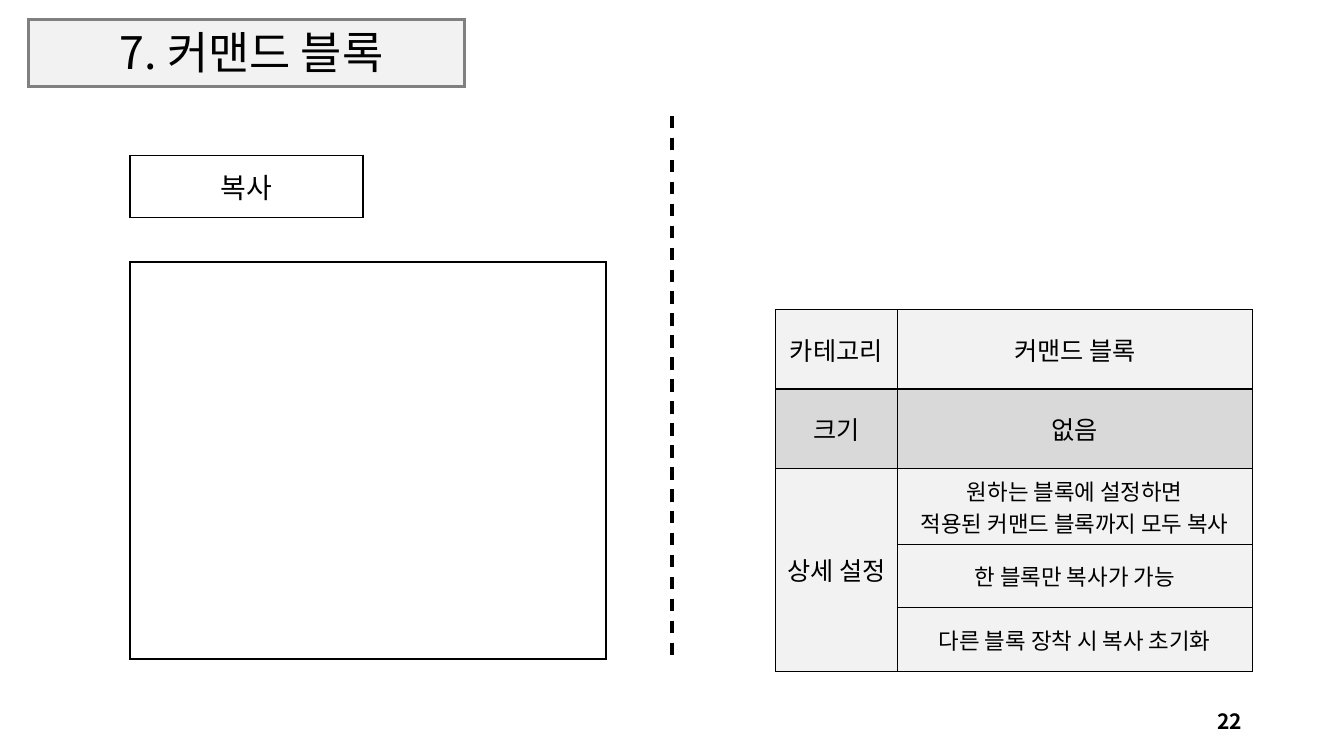
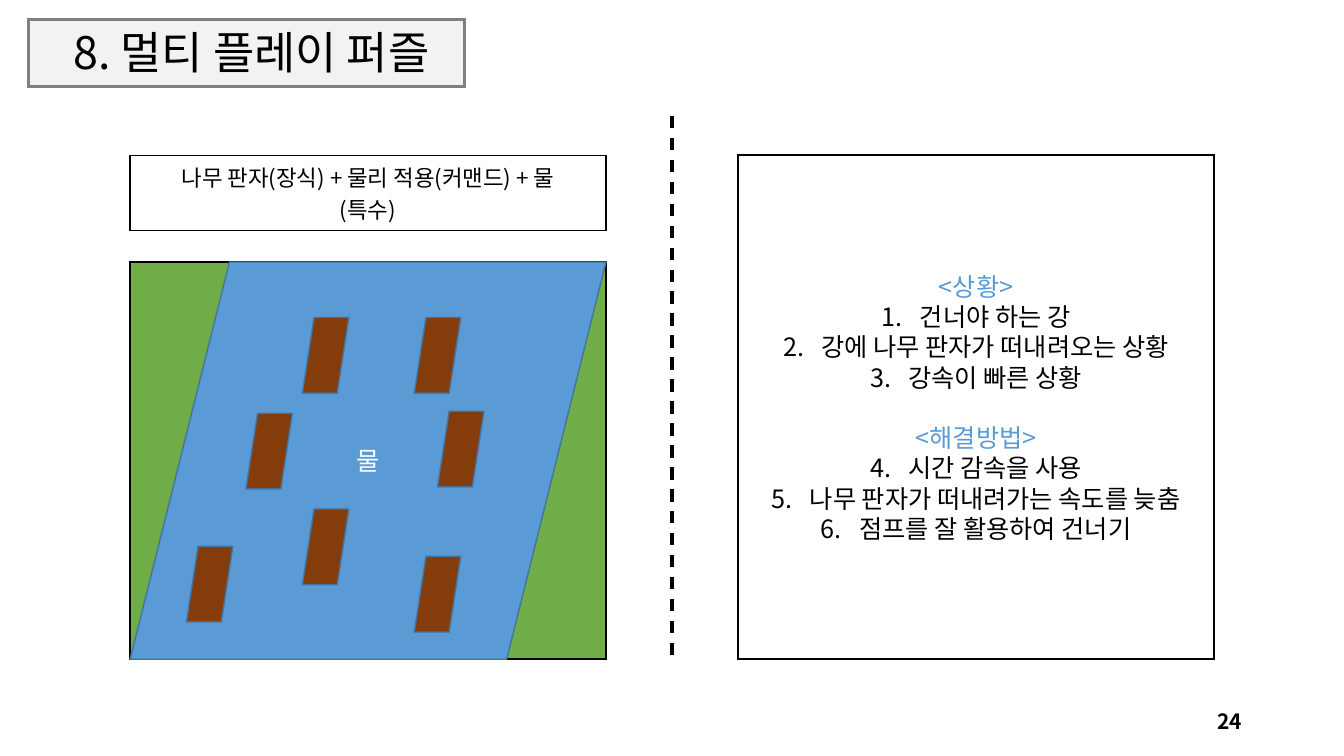
from collections import namedtuple
from dataclasses import dataclass

from lxml import etree
from pptx import Presentation
from pptx import util as u
from pptx.dml.color import RGBColor
from pptx.enum import dml, shapes, text
from pptx.oxml import ns

Box = namedtuple("Box", "x y w h")
MID, BOTTOM = text.MSO_ANCHOR.MIDDLE, text.MSO_ANCHOR.BOTTOM
CENTER, RIGHT = text.PP_ALIGN.CENTER, text.PP_ALIGN.RIGHT
RECT, SLANT = shapes.MSO_SHAPE.RECTANGLE, shapes.MSO_SHAPE.PARALLELOGRAM


@dataclass(frozen=True)
class Theme:
    font: str = "Noto Sans CJK KR"
    ink: str = "000000"
    paper: str = "FFFFFF"
    pale: str = "F2F2F2"
    band: str = "D9D9D9"
    frame: str = "808080"
    water: str = "5B9BD5"
    edge: str = "43739E"
    grass: str = "70AD47"
    wood: str = "843C0B"
    title: float = 32
    label: float = 20
    body: float = 18
    small: float = 16
    number: float = 15
    pitch: float = 21.6


T = Theme()
WIDTH, HEIGHT = 13.33, 7.5
TOP, BASE = 1.54, 6.54          # content band
LEFT, PANEL_W = 1.29, 4.72      # left column
LABEL_H, FACT_H, DETAIL_H = 0.62, 0.79, 0.63
TWO_LINES_H = 0.75              # row holding two small lines
SCENE = Box(LEFT, 2.6, PANEL_W, BASE - 2.6)


def emu(box):
    return [u.Inches(v) for v in box]


def child(parent, tag, **attrs):
    return etree.SubElement(parent, ns.qn(tag), attrs)


def write(p, words, size=T.body, color=T.ink, bold=False, align=CENTER,
          spacing=None, before=None, number=None):
    """Fill one paragraph; number is its place in a numbered list."""
    p.alignment = align
    if number:
        pPr = p._p.get_or_add_pPr()
        pPr.set("marL", str(u.Inches(0.38)))
        pPr.set("indent", str(-u.Inches(0.38)))
        child(pPr, "a:buFont", typeface=T.font)
        child(pPr, "a:buAutoNum", type="arabicPeriod", startAt=str(number))
    if spacing:
        p.line_spacing = spacing
    if before:
        p.space_before = u.Pt(before)
    for i, line in enumerate(words.split("\n")):
        if i:
            p.add_line_break()
        r = p.add_run()
        r.text = line
        r.font.size, r.font.bold, r.font.name = u.Pt(size), bold, T.font
        r.font.color.rgb = RGBColor.from_string(color)
        child(r._r.get_or_add_rPr(), "a:ea", typeface=T.font)


def next_paragraph(tf, first):
    return tf.paragraphs[0] if first else tf.add_paragraph()


def add_text(s, box, words, anchor=MID, **fmt):
    tf = s.shapes.add_textbox(*emu(box)).text_frame
    tf.word_wrap, tf.vertical_anchor = True, anchor
    write(tf.paragraphs[0], words, **fmt)


def add_box(s, box, kind=RECT, fill=None, line=T.ink, weight=1.5):
    sp = s.shapes.add_shape(kind, *emu(box))
    sp.shadow.inherit = False
    if fill:
        sp.fill.solid()
        sp.fill.fore_color.rgb = RGBColor.from_string(fill)
    else:
        sp.fill.background()
    sp.line.color.rgb = RGBColor.from_string(line)
    sp.line.width = u.Pt(weight)
    child(sp._element.spPr.find(ns.qn("a:ln")), "a:miter", lim="800000")
    sp.text_frame.word_wrap = True
    sp.text_frame.vertical_anchor = MID
    return sp


def style_cell(cell, fill):
    cell.vertical_anchor = MID
    tcPr = cell._tc.get_or_add_tcPr()
    for side in ("a:lnL", "a:lnR", "a:lnT", "a:lnB"):
        ln = child(tcPr, side, w=str(u.Pt(1)))
        child(child(ln, "a:solidFill"), "a:srgbClr", val=T.ink)
    cell.fill.solid()
    cell.fill.fore_color.rgb = RGBColor.from_string(fill)


def add_grid(s, x, y, cols, rows, fills):
    frame = s.shapes.add_table(len(rows), len(cols),
                               *emu(Box(x, y, sum(cols), sum(rows))))
    table = frame.table
    table.first_row = table.horz_banding = False
    for col, w in zip(table.columns, cols):
        col.width = u.Inches(w)
    for row, h, fill in zip(table.rows, rows, fills):
        row.height = u.Inches(h)
        for cell in row.cells:
            style_cell(cell, fill)
    return table


def fill_cell(cell, words, size):
    for i, line in enumerate(words):
        write(next_paragraph(cell.text_frame, i == 0), line, size=size)


def label(s, words, width, size):
    height = TWO_LINES_H if "\n" in words else LABEL_H
    table = add_grid(s, LEFT, TOP, [width], [height], [T.paper])
    fill_cell(table.cell(0, 0), [words], size)


def base_slide(prs, title, number):
    """Title band, page number and dashed divider."""
    s = prs.slides.add_slide(prs.slide_layouts[6])
    add_box(s, Box(0.28, 0.19, 4.33, 0.67), fill=T.pale, line=T.frame, weight=2.25)
    add_text(s, Box(0.42, 0.18, 4.15, 0.65), title, anchor=BOTTOM,
             size=T.title, spacing=0.9)
    add_text(s, Box(9.42, 6.95, 3, 0.4), number, size=T.number, bold=True, align=RIGHT)
    mid = u.Inches(WIDTH / 2)
    divider = s.shapes.add_connector(shapes.MSO_CONNECTOR.STRAIGHT,
                                     mid, u.Inches(1.15), mid, u.Inches(BASE))
    divider.line.color.rgb = RGBColor.from_string(T.ink)
    divider.line.width = u.Pt(2.25)
    divider.line.dash_style = dml.MSO_LINE.DASH
    child(divider._element.spPr, "a:effectLst")
    return s


def spec_table(s, x, y, facts, heading, details):
    rows = [FACT_H] * len(facts)
    rows += [TWO_LINES_H if len(lines) > 1 else DETAIL_H for lines in details]
    fills = [T.pale, T.band] + [T.pale] * len(details)
    table = add_grid(s, x, y, [1.21, 3.52], rows, fills)
    start = len(facts)
    for i, fact in enumerate(facts):
        for j, words in enumerate(fact):
            fill_cell(table.cell(i, j), [words], T.body)
    table.cell(start, 0).merge(table.cell(len(rows) - 1, 0))
    fill_cell(table.cell(start, 0), [heading], T.body)
    for i, lines in enumerate(details, start):
        fill_cell(table.cell(i, 1), lines, T.small)


def river(s, box, planks):
    """Grass, slanted water, and planks placed from the box's corner."""
    add_box(s, box, fill=T.grass)
    water = add_box(s, box, SLANT, T.water, T.edge, 1)
    write(water.text_frame.paragraphs[0], "물", color=T.paper)
    for dx, dy in planks:
        add_box(s, Box(box.x + dx, box.y + dy, 0.46, 0.75), SLANT, T.wood, T.edge, 1)


def outline(s, box, groups):
    """Headed groups with one running numbering."""
    tf = add_box(s, box).text_frame
    number = 0
    pitch = u.Pt(T.pitch)
    for i, (heading, items) in enumerate(groups):
        write(next_paragraph(tf, i == 0), heading, color=T.water,
              spacing=pitch, before=T.pitch if i else None)
        for item in items:
            number += 1
            write(tf.add_paragraph(), item, spacing=pitch, number=number)


def command_slide(prs):
    s = base_slide(prs, "7. 커맨드 블록", "22")
    label(s, "복사", 2.31, T.label)
    spec_table(s, 7.69, 3.07,
               [("카테고리", "커맨드 블록"), ("크기", "없음")],
               "상세 설정",
               [["원하는 블록에 설정하면", "적용된 커맨드 블록까지 모두 복사"],
                ["한 블록만 복사가 가능"],
                ["다른 블록 장착 시 복사 초기화"]])
    add_box(s, SCENE)


def puzzle_slide(prs):
    s = base_slide(prs, "8. 멀티 플레이 퍼즐", "24")
    label(s, "나무 판자(장식) + 물리 적용(커맨드) + 물\n(특수)", PANEL_W, T.small)
    river(s, SCENE, [(2.82, 0.55), (1.71, 0.55), (1.71, 2.45), (1.15, 1.5),
                     (3.05, 1.48), (2.82, 2.92), (0.56, 2.82)])
    outline(s, Box(7.32, TOP, PANEL_W, BASE - TOP), [
        ("<상황>", ["건너야 하는 강", "강에 나무 판자가 떠내려오는 상황",
                  "강속이 빠른 상황"]),
        ("<해결방법>", ["시간 감속을 사용", "나무 판자가 떠내려가는 속도를 늦춤",
                    "점프를 잘 활용하여 건너기"])])


def main():
    prs = Presentation()
    prs.slide_width, prs.slide_height = u.Inches(WIDTH), u.Inches(HEIGHT)
    command_slide(prs)
    puzzle_slide(prs)
    prs.save("out.pptx")


if __name__ == "__main__":
    main()
